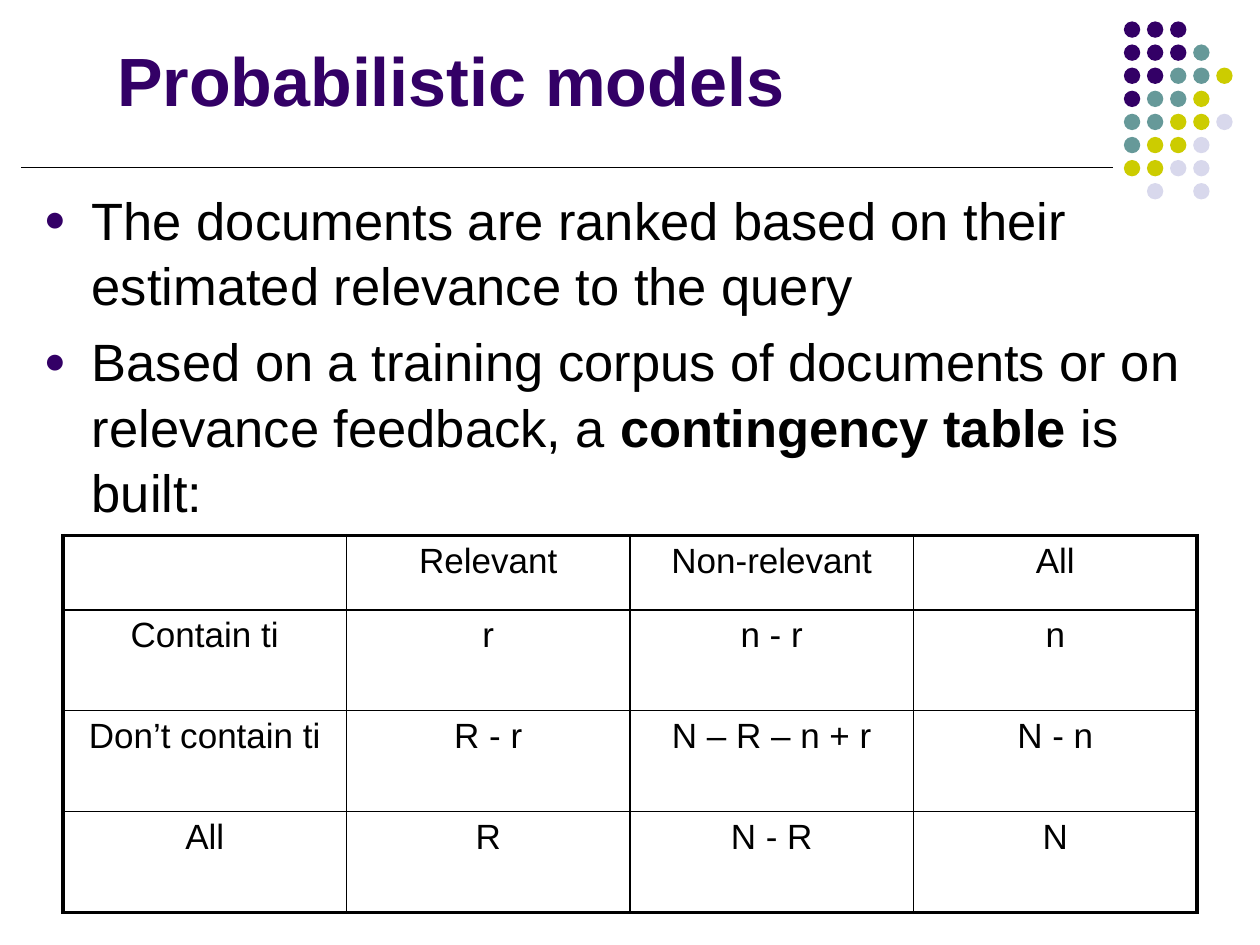
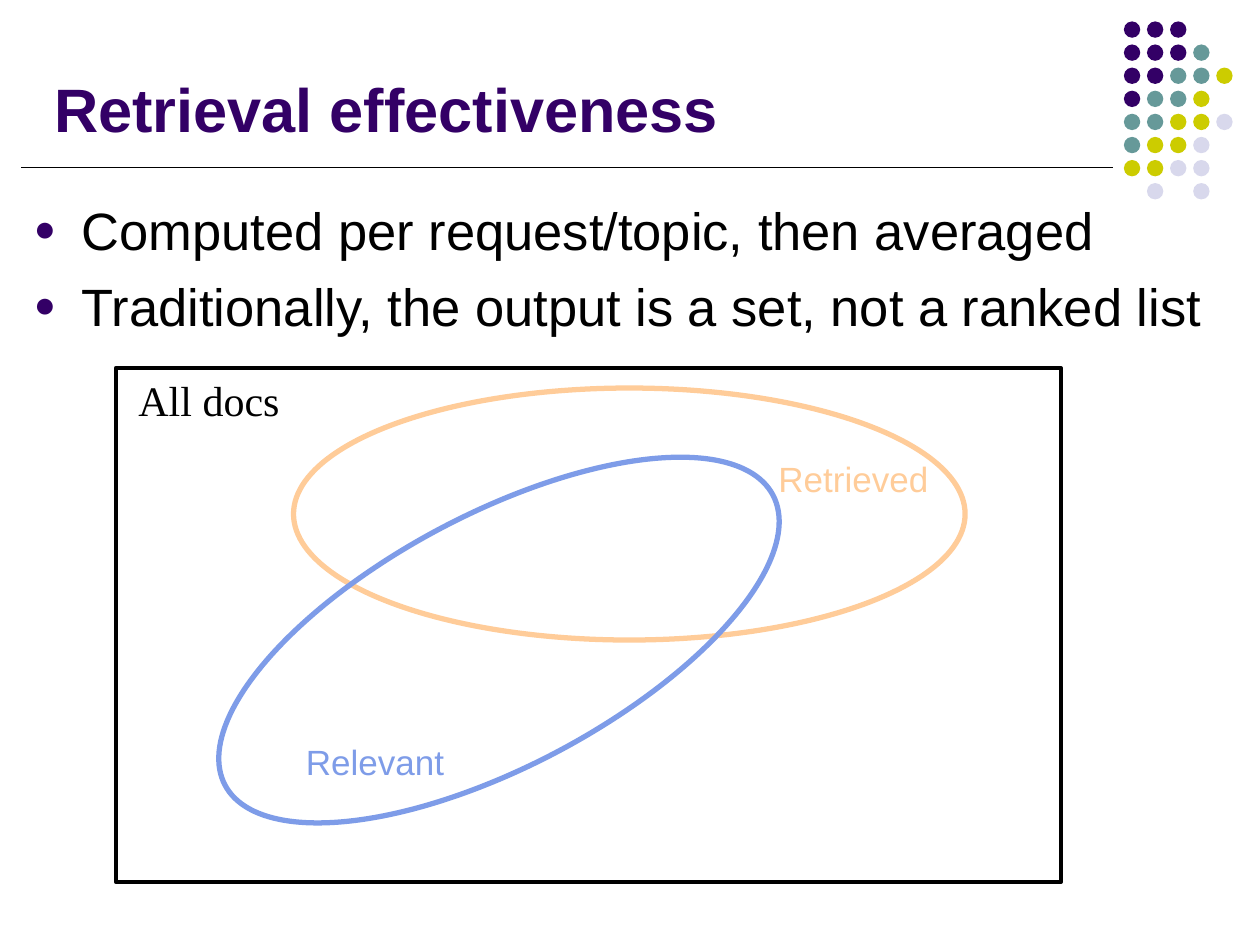
from dataclasses import dataclass

import lxml.etree
import pptx
import pptx.dml.color
import pptx.enum.shapes
import pptx.enum.text
import pptx.oxml.ns
import pptx.presentation
import pptx.shapes.base
import pptx.slide
import pptx.text.text
import pptx.util

Inches = pptx.util.Inches
Pt = pptx.util.Pt
qn = pptx.oxml.ns.qn
Shape = pptx.enum.shapes.MSO_SHAPE
Align = pptx.enum.text.PP_ALIGN
Anchor = pptx.enum.text.MSO_ANCHOR

COLORS = {
    "purple": "330066",
    "teal": "669999",
    "olive": "CCCC00",
    "lavender": "D8D8EC",
    "black": "000000",
    "peach": "FFCC99",
    "blue": "7E9CE8",
}
FONT = "Arial"
TITLE_ONLY = 5

# Dot ornament: one letter per dot, one string per row
DOT_ROWS = ["PPP", "PPPT", "PPTTY", "PTTY", "TTYYL", "TYYL", "YYLL", " L L"]
DOT_COLORS = {"P": "purple", "T": "teal", "Y": "olive", "L": "lavender"}
DOT_LEFT, DOT_TOP, DOT_SIZE = 8.92, 0.17, 0.13
DOT_PITCH = 0.55 / 3


@dataclass
class Area:
    left: float
    top: float
    width: float
    height: float

    def lengths(self) -> list[pptx.util.Length]:
        return [Inches(n) for n in (self.left, self.top, self.width, self.height)]


@dataclass
class Span:
    text: str
    bold: bool = False


@dataclass
class Outline:
    kind: Shape
    area: Area
    color: str
    weight: float
    rotation: float = 0


@dataclass
class Label:
    text: str
    area: Area
    color: str
    size: float = 20
    font: str = FONT
    wrap: bool = False


def rgb(name: str) -> pptx.dml.color.RGBColor:
    return pptx.dml.color.RGBColor.from_string(COLORS[name])


def add_span(para: pptx.text.text._Paragraph, text: str, size: float,
             color: str = "black", bold: bool = False, font: str = FONT) -> None:
    span = para.add_run()
    span.text = text
    span.font.name = font
    span.font.size = Pt(size)
    span.font.bold = bold
    span.font.color.rgb = rgb(color)


# Shared frame of every slide
def add_dots(page: pptx.slide.Slide) -> None:
    for row, letters in enumerate(DOT_ROWS):
        for column, letter in enumerate(letters):
            if letter not in DOT_COLORS:
                continue
            area = Area(DOT_LEFT + column * DOT_PITCH, DOT_TOP + row * DOT_PITCH,
                        DOT_SIZE, DOT_SIZE)
            dot = page.shapes.add_shape(Shape.OVAL, *area.lengths())
            dot.shadow.inherit = False
            dot.fill.solid()
            dot.fill.fore_color.rgb = rgb(DOT_COLORS[letter])
            dot.line.fill.background()


def add_rule(page: pptx.slide.Slide) -> None:
    rule = page.shapes.add_connector(
        pptx.enum.shapes.MSO_CONNECTOR.STRAIGHT,
        Inches(0.17), Inches(1.33), Inches(8.83), Inches(1.33))
    rule.line.color.rgb = rgb("black")
    rule.line.width = Pt(0.75)
    lxml.etree.SubElement(rule._element.spPr, qn("a:effectLst"))


def add_page(deck: pptx.presentation.Presentation, title: str, area: Area,
             size: float) -> pptx.slide.Slide:
    page = deck.slides.add_slide(deck.slide_layouts[TITLE_ONLY])
    add_dots(page)
    add_rule(page)
    box = page.shapes.title
    box.left, box.top, box.width, box.height = area.lengths()
    frame = box.text_frame
    frame.vertical_anchor = Anchor.BOTTOM
    frame.auto_size = pptx.enum.text.MSO_AUTO_SIZE.NONE
    frame.word_wrap = True
    para = frame.paragraphs[0]
    para.alignment = Align.LEFT
    add_span(para, title, size, "purple", bold=True)
    return page


def set_bullet(para: pptx.text.text._Paragraph) -> None:
    properties = para._p.get_or_add_pPr()
    properties.set("marL", str(Inches(0.38)))
    properties.set("indent", str(-Inches(0.38)))
    tint = lxml.etree.SubElement(properties, qn("a:buClr"))
    lxml.etree.SubElement(tint, qn("a:srgbClr"), val=COLORS["purple"])
    lxml.etree.SubElement(properties, qn("a:buSzPct"), val="70000")
    lxml.etree.SubElement(properties, qn("a:buFont"), typeface=FONT)
    lxml.etree.SubElement(properties, qn("a:buChar"), char="●")


def add_bullets(page: pptx.slide.Slide, area: Area, items: list[list[Span]]) -> None:
    frame = page.shapes.add_textbox(*area.lengths()).text_frame
    frame.word_wrap = True
    for index, item in enumerate(items):
        para = frame.add_paragraph() if index else frame.paragraphs[0]
        para.line_spacing = 1.04
        para.space_before = Pt(6)
        set_bullet(para)
        for part in item:
            add_span(para, part.text, 30, bold=part.bold)


# Contingency table
def set_border(cell: pptx.shapes.base.BaseShape, side: str, weight: float) -> None:
    border = lxml.etree.SubElement(cell._tc.get_or_add_tcPr(), qn(f"a:ln{side}"),
                                   w=str(Pt(weight)))
    fill = lxml.etree.SubElement(border, qn("a:solidFill"))
    lxml.etree.SubElement(fill, qn("a:srgbClr"), val=COLORS["black"])


def add_grid(page: pptx.slide.Slide, area: Area, heights: list[float],
             rows: list[list[str]]) -> None:
    last_row, last_column = len(rows) - 1, len(rows[0]) - 1
    table = page.shapes.add_table(len(rows), len(rows[0]), *area.lengths()).table
    table.first_row = table.horz_banding = False
    for row, texts in enumerate(rows):
        table.rows[row].height = Inches(heights[row])
        for column, text in enumerate(texts):
            cell = table.cell(row, column)
            outer_sides = {"L": column == 0, "R": column == last_column,
                           "T": row == 0, "B": row == last_row}
            for side, outer in outer_sides.items():
                set_border(cell, side, 2.25 if outer else 1)
            cell.fill.background()
            if text:
                para = cell.text_frame.paragraphs[0]
                para.alignment = Align.CENTER
                add_span(para, text, 20)


# Set diagram
def add_outline(page: pptx.slide.Slide, outline: Outline) -> None:
    shape = page.shapes.add_shape(outline.kind, *outline.area.lengths())
    shape.shadow.inherit = False
    shape.rotation = outline.rotation
    shape.fill.background()
    shape.line.color.rgb = rgb(outline.color)
    shape.line.width = Pt(outline.weight)


def add_label(page: pptx.slide.Slide, label: Label) -> None:
    frame = page.shapes.add_textbox(*label.area.lengths()).text_frame
    frame.word_wrap = label.wrap
    frame.auto_size = pptx.enum.text.MSO_AUTO_SIZE.SHAPE_TO_FIT_TEXT
    add_span(frame.paragraphs[0], label.text, label.size, label.color,
             font=label.font)


def build_models(deck: pptx.presentation.Presentation) -> None:
    page = add_page(deck, "Probabilistic models", Area(0.83, 0.25, 8.58, 0.75), 39)
    add_bullets(page, Area(0.25, 1.42, 9.42, 2.5), [
        [Span("The documents are ranked based on their estimated relevance "
              "to the query")],
        [Span("Based on a training corpus of documents or on relevance feedback, a "),
         Span("contingency table", bold=True), Span(" is built:")],
    ])
    add_grid(page, Area(0.5, 4.25, 9, 3), [0.59, 0.8, 0.8, 0.8], [
        ["", "Relevant", "Non-relevant", "All"],
        ["Contain ti", "r", "n - r", "n"],
        ["Don’t contain ti", "R - r", "N – R – n + r", "N - n"],
        ["All", "R", "N - R", "N"],
    ])


def build_effectiveness(deck: pptx.presentation.Presentation) -> None:
    page = add_page(deck, "Retrieval effectiveness", Area(0.33, 0.25, 8.25, 0.95), 35)
    add_bullets(page, Area(0.17, 1.5, 9.67, 1.25), [
        [Span("Computed per request/topic, then averaged")],
        [Span("Traditionally, the output is a set, not a ranked list")],
    ])
    for outline in [
        Outline(Shape.OVAL, Area(2.33, 3.08, 5.33, 2), "peach", 3),
        Outline(Shape.OVAL, Area(1.5, 4.08, 4.92, 2), "blue", 3, 332.1),
        Outline(Shape.RECTANGLE, Area(0.92, 2.92, 7.5, 4.08), "black", 2.25),
    ]:
        add_outline(page, outline)
    for label in [
        Label("Relevant", Area(2.33, 5.83, 1.3, 0.43), "blue"),
        Label("Retrieved", Area(6.08, 3.58, 1.73, 0.43), "peach", wrap=True),
        Label("All docs", Area(1, 2.92, 1.32, 0.5), "black", 24, "Times New Roman"),
    ]:
        add_label(page, label)


def main() -> None:
    deck = pptx.Presentation()
    deck.slide_width = Inches(10)
    deck.slide_height = Inches(7.5)
    build_models(deck)
    build_effectiveness(deck)
    deck.save("out.pptx")


if __name__ == "__main__":
    main()
